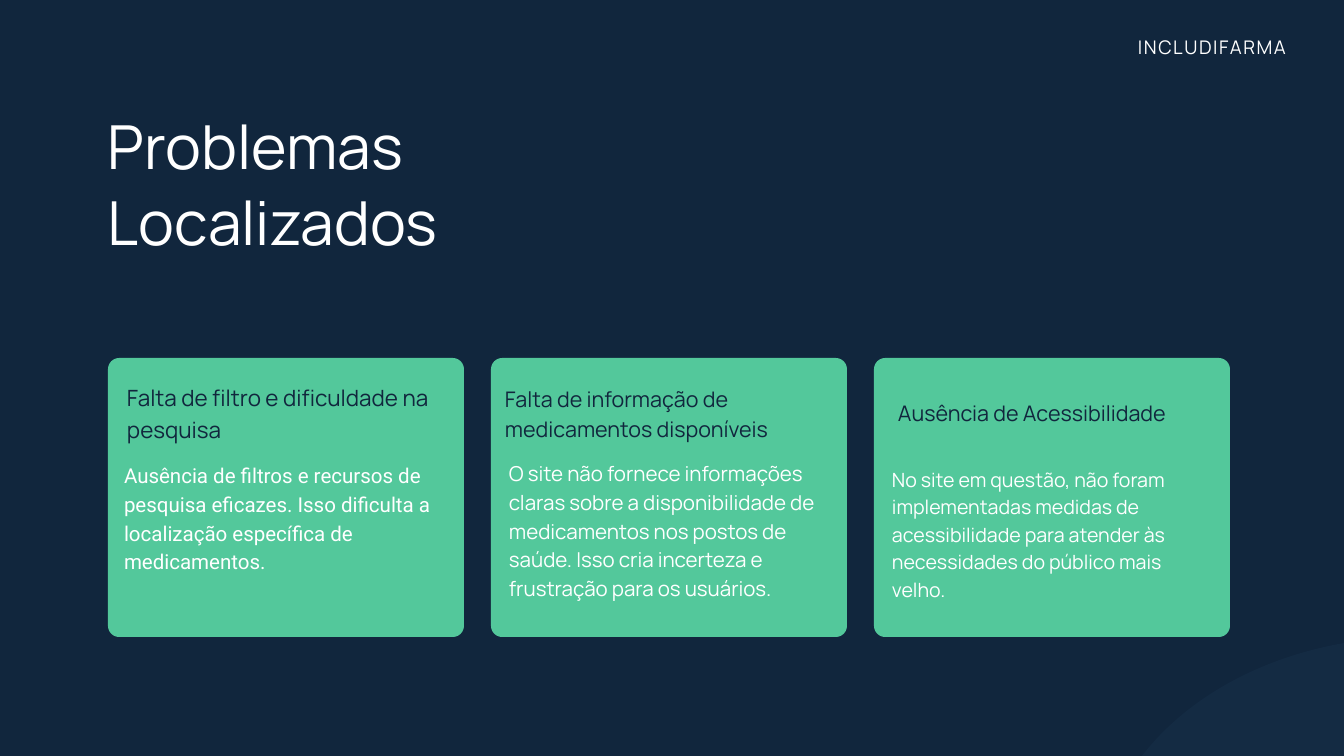
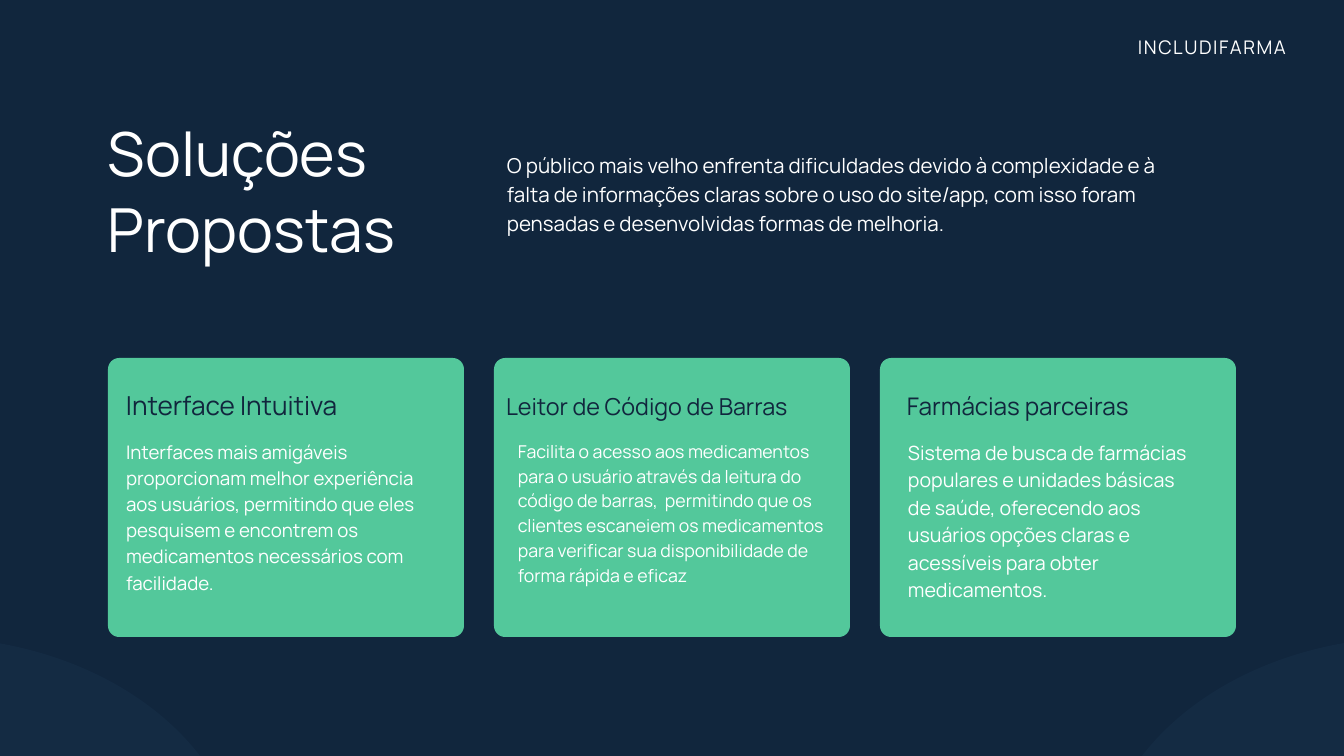
from dataclasses import dataclass

from lxml.etree import SubElement
from pptx import Presentation
from pptx.dml.color import RGBColor
from pptx.enum.shapes import MSO_SHAPE
from pptx.enum.text import MSO_AUTO_SIZE
from pptx.oxml.ns import qn
from pptx.util import Emu, Pt

EMU_PER_INCH = 914400
PX_PER_INCH = 67.2
SLIDE_W, SLIDE_H = 1344, 756

NAVY = RGBColor(0x11, 0x26, 0x3D)
DISC_BLUE = RGBColor(0x19, 0x32, 0x4D)
GREEN = RGBColor(0x53, 0xC8, 0x9B)
WHITE = RGBColor(0xFF, 0xFF, 0xFF)

BRAND = "INCLUDIFARMA"
TITLE_SIZE, TITLE_LEADING = 65, 1.25
BODY_LEADING = 1.4
DISC_ALPHA = 42
CARD_LEFT, CARD_TOP, CARD_W, CARD_H = 108, 358, 356, 279
CARD_ROUNDING = 0.04
LEFT_DISC = (-388, 637, 632, 484)
RIGHT_DISC = (1098, 637, 632, 484)
FRAME_FORMAT = {
    "margin_left": 0,
    "margin_top": 0,
    "margin_right": 0,
    "margin_bottom": 0,
    "word_wrap": True,
    "auto_size": MSO_AUTO_SIZE.SHAPE_TO_FIT_TEXT,
}


@dataclass
class Passage:
    """Wording with its box (relative to its card) and its type size."""
    wording: str
    box: tuple
    size: float
    font: str = "Manrope"


PROBLEMS = [
    (Passage("Falta de filtro e dificuldade na pesquisa", (19, 22, 321, 62), 24),
     Passage("Ausência de filtros e recursos de pesquisa eficazes. Isso dificulta a "
             "localização específica de medicamentos.", (16, 101, 323, 114), 22, "Roboto")),
    (Passage("Falta de informação de medicamentos disponíveis", (14, 24, 325, 58), 23),
     Passage("O site não fornece informações claras sobre a disponibilidade de "
             "medicamentos nos postos de saúde. Isso cria incerteza e frustração "
             "para os usuários.", (18, 99, 325, 144), 22)),
    (Passage("Ausência de Acessibilidade", (24, 38, 306, 30), 23),
     Passage("No site em questão, não foram implementadas medidas de acessibilidade "
             "para atender às necessidades do público mais velho.", (18, 106, 307, 137), 21)),
]

SOLUTIONS = [
    (Passage("Interface Intuitiva", (18, 26, 237, 38), 28),
     Passage("Interfaces mais amigáveis proporcionam melhor experiência aos usuários, "
             "permitindo que eles pesquisem e encontrem os medicamentos necessários "
             "com facilidade.", (18, 79, 310, 156), 20)),
    (Passage("Leitor de Código de Barras", (12, 30, 331, 32), 25),
     Passage("Facilita o acesso aos medicamentos para o usuário através da leitura do "
             "código de barras,  permitindo que os clientes escaneiem os medicamentos "
             "para verificar sua disponibilidade de forma rápida e eficaz",
             (24, 79, 307, 172), 19)),
    (Passage("Farmácias parceiras", (27, 28, 294, 34), 26),
     Passage("Sistema de busca de farmácias populares e unidades básicas de saúde, "
             "oferecendo aos usuários opções claras e acessíveis para obter "
             "medicamentos.", (28, 79, 292, 164), 21)),
]

INTRO = Passage("O público mais velho enfrenta dificuldades devido à complexidade e à "
                "falta de informações claras sobre o uso do site/app, com isso foram "
                "pensadas e desenvolvidas formas de melhoria.", (507, 149, 694, 86), 22)


def px(length):
    """Turn px into EMU."""
    return Emu(round(length * EMU_PER_INCH / PX_PER_INCH))


def set_all(target, values):
    """Set each named attribute of the target."""
    for name, value in values.items():
        setattr(target, name, value)


def add_passage(slide, passage, color, leading=BODY_LEADING, origin=(0, 0)):
    """Write a passage at its box, measured from the origin, and return its run."""
    left, top, width, height = passage.box
    box = (origin[0] + left, origin[1] + top, width, height)
    frame = slide.shapes.add_textbox(*map(px, box)).text_frame
    set_all(frame, FRAME_FORMAT)
    paragraph = frame.paragraphs[0]
    paragraph.line_spacing = Pt(round(passage.size * leading, 1))
    run = paragraph.add_run()
    run.text = passage.wording
    set_all(run.font, {"name": passage.font, "size": Pt(passage.size)})
    run.font.color.rgb = color
    return run


def add_plain_shape(slide, preset, box, color):
    """Add a flat filled preset shape without outline or shadow."""
    shape = slide.shapes.add_shape(preset, *map(px, box))
    shape.shadow.inherit = False
    shape.fill.solid()
    shape.fill.fore_color.rgb = color
    shape.line.fill.background()
    return shape


def add_disc(slide, box):
    """Add a translucent corner disc."""
    disc = add_plain_shape(slide, MSO_SHAPE.OVAL, box, DISC_BLUE)
    tint = disc.fill._xPr.find(qn("a:solidFill")).find(qn("a:srgbClr"))
    SubElement(tint, qn("a:alpha")).set("val", str(DISC_ALPHA * 1000))


def add_card(slide, box, heading, body):
    """Add a green card with its heading and body."""
    card = add_plain_shape(slide, MSO_SHAPE.ROUNDED_RECTANGLE, box, GREEN)
    card.adjustments[0] = CARD_ROUNDING
    add_passage(slide, heading, NAVY, origin=box[:2])
    add_passage(slide, body, WHITE, origin=box[:2])


def add_brand(slide):
    """Write the letter-spaced brand in the top right corner."""
    run = add_passage(slide, Passage(BRAND, (1138, 39, 167, 21), 20.1), WHITE, 1.045)
    run._r.get_or_add_rPr().set("spc", "170")


def add_card_slide(deck, title, title_top, discs, cards, pitch):
    """Build a slide with a title, corner discs and a row of cards."""
    slide = deck.slides.add_slide(deck.slide_layouts[6])
    slide.background.fill.solid()
    slide.background.fill.fore_color.rgb = NAVY
    for disc in discs:
        add_disc(slide, disc)
    title_box = (CARD_LEFT, title_top, 390, 155)
    add_passage(slide, Passage(title, title_box, TITLE_SIZE), WHITE, TITLE_LEADING)
    for column, (heading, body) in enumerate(cards):
        box = (CARD_LEFT + column * pitch, CARD_TOP, CARD_W, CARD_H)
        add_card(slide, box, heading, body)
    add_brand(slide)
    return slide


def main():
    """Build and save the deck."""
    deck = Presentation()
    set_all(deck, {"slide_width": px(SLIDE_W), "slide_height": px(SLIDE_H)})
    add_card_slide(deck, "Problemas Localizados", 106, [RIGHT_DISC], PROBLEMS, 383)
    solutions = add_card_slide(deck, "Soluções Propostas", 113,
                               [LEFT_DISC, RIGHT_DISC], SOLUTIONS, 386)
    add_passage(solutions, INTRO, WHITE)
    deck.save("out.pptx")


if __name__ == "__main__":
    main()
